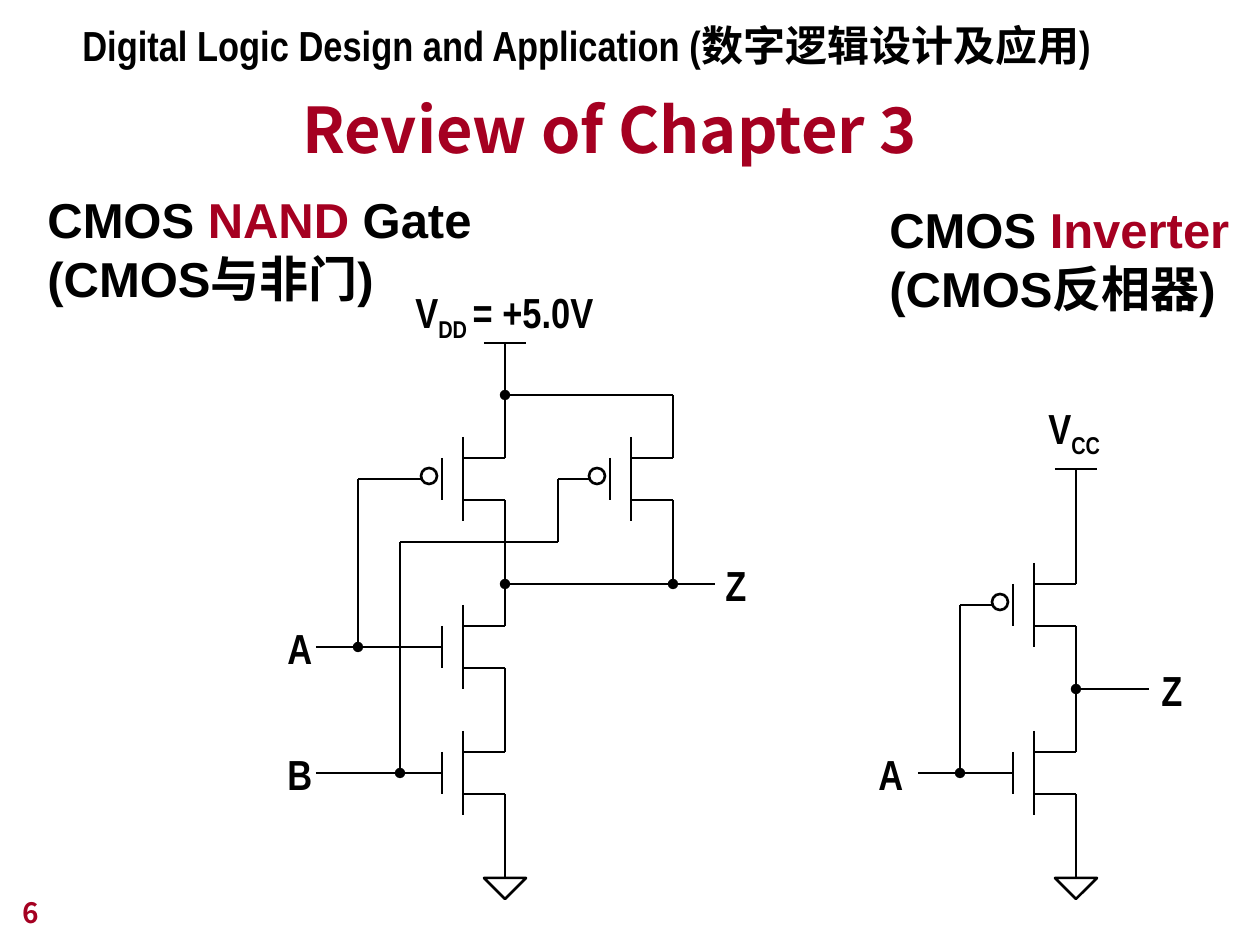
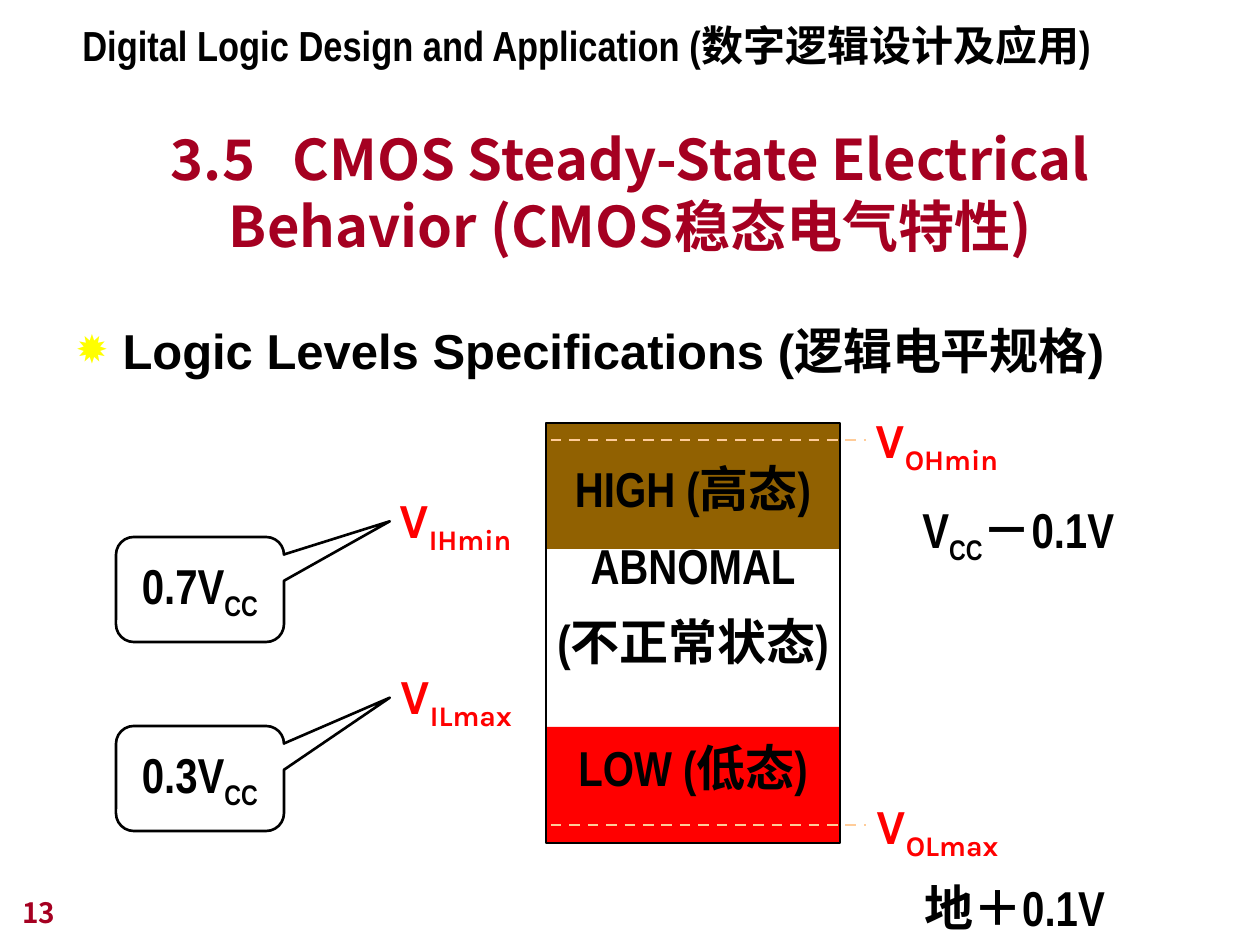
from itertools import pairwise

from lxml.etree import SubElement
from pptx import Presentation
from pptx.dml.color import RGBColor
from pptx.enum.dml import MSO_LINE
from pptx.enum.shapes import MSO_CONNECTOR, MSO_SHAPE
from pptx.enum.text import MSO_ANCHOR as ANCHOR, MSO_AUTO_SIZE as AUTO, PP_ALIGN as ALIGN
from pptx.oxml.ns import qn
from pptx.util import Pt

PX = 914400 / 126
WIDTH, HEIGHT = 1260, 945
BLACK, CRIMSON, RED = "000000", "A50021", "FF0000"
BROWN, PEACH, YELLOW = "916101", "FFCC99", "FFFF00"
NARROW, SANS, LABEL, CJK = "Arial Narrow", "Arial", "Karla", "Noto Sans CJK JP"
HEADER = "Digital Logic Design and Application (数字逻辑设计及应用)"
STEP = 21  # circuit grid


def emu(*lengths):
    return [round(n * PX) for n in lengths]


def rgb(color):
    return RGBColor.from_string(color)


def add_run(p, text, size=24, font=NARROW, color=BLACK, sub=False, spacing=0):
    r = p.add_run()
    r.text = text
    f = r.font
    f.size, f.name, f.bold = Pt(size), font, True
    f.color.rgb = rgb(color)
    rPr = r._r.get_or_add_rPr()
    SubElement(rPr, qn("a:ea")).set("typeface", CJK)
    if sub:
        rPr.set("baseline", "-25000")
    if spacing:
        rPr.set("spc", str(spacing * 100))


def add_runs(p, runs, **style):
    """Takes a string, or a list of strings and (string, format) pairs."""
    for item in [runs] if isinstance(runs, str) else runs:
        text, extra = (item, {}) if isinstance(item, str) else item
        add_run(p, text, **{**style, **extra})


def sub(text):
    return text, {"sub": True}


def colored(text, color):
    return text, {"color": color}


class Deck:
    """Holds the shared style and the slide being drawn."""

    def __init__(self):
        self.prs = Presentation()
        self.prs.slide_width, self.prs.slide_height = emu(WIDTH, HEIGHT)

    def new_slide(self, layout, number, title, box, size):
        self.slide = self.prs.slides.add_slide(self.prs.slide_layouts[layout])
        self.shapes = self.slide.shapes
        self.placeholder(0, box, title, ANCHOR.BOTTOM, size=size, font=CJK, color=CRIMSON)
        self.text(70, 13, 1055, 63, HEADER)
        self.text(10, 872, 262, 63, number, wrap=True, anchor=ANCHOR.BOTTOM,
                  size=16, font=CJK, color=CRIMSON)

    def placeholder(self, idx, box, runs, anchor, **style):
        sp = self.slide.placeholders[idx]
        sp.left, sp.top, sp.width, sp.height = emu(*box)
        tf = sp.text_frame
        tf.auto_size, tf.word_wrap, tf.vertical_anchor = AUTO.NONE, True, anchor
        p = tf.paragraphs[0]
        if idx:
            self.bullet(p)
        add_runs(p, runs, **style)
        return p

    def bullet(self, p):
        pPr = p._p.get_or_add_pPr()
        indent = emu(47)[0]
        pPr.set("marL", str(indent))
        pPr.set("indent", str(-indent))
        SubElement(SubElement(pPr, qn("a:buClr")), qn("a:srgbClr")).set("val", YELLOW)
        SubElement(pPr, qn("a:buSzPct")).set("val", "80000")
        SubElement(pPr, qn("a:buChar")).set("char", "✹")

    def text(self, x, y, w, h, *lines, wrap=False, anchor=ANCHOR.TOP, **style):
        tf = self.shapes.add_textbox(*emu(x, y, w, h)).text_frame
        tf.word_wrap, tf.vertical_anchor = wrap, anchor
        tf.auto_size = AUTO.NONE if wrap else AUTO.SHAPE_TO_FIT_TEXT
        for i, runs in enumerate(lines):
            add_runs(tf.add_paragraph() if i else tf.paragraphs[0], runs, **style)

    def shape(self, kind, x, y, w, h, fill=None, line=BLACK):
        sp = self.shapes.add_shape(kind, *emu(x, y, w, h))
        sp.shadow.inherit = False
        if fill:
            sp.fill.solid()
            sp.fill.fore_color.rgb = rgb(fill)
        else:
            sp.fill.background()
        if line:
            sp.line.color.rgb, sp.line.width = rgb(line), Pt(1.5)
        else:
            sp.line.fill.background()
        return sp

    def fill_text(self, sp, lines, wrap, anchor):
        """Centres lines of (runs, line spacing, space before) in a shape."""
        tf = sp.text_frame
        tf.word_wrap, tf.vertical_anchor = wrap, anchor
        for i, (runs, spacing, before) in enumerate(lines):
            p = tf.add_paragraph() if i else tf.paragraphs[0]
            p.alignment, p.line_spacing, p.space_before = ALIGN.CENTER, spacing, Pt(before)
            add_runs(p, runs, size=28)

    def line(self, start, end, color=BLACK, dash=None, dot=None):
        """Draws a line; dot is headEnd or tailEnd for a junction there."""
        c = self.shapes.add_connector(MSO_CONNECTOR.STRAIGHT, *emu(*start, *end))
        c.line.color.rgb, c.line.width = rgb(color), Pt(1.5)
        if dash:
            c.line.dash_style = dash
        if dot:
            SubElement(c.line._get_or_add_ln(), qn(f"a:{dot}")).set("type", "oval")
        SubElement(c._element.spPr, qn("a:effectLst"))

    def wire(self, *points, start_dot=False, end_dot=False):
        segments = list(pairwise(points))
        for i, (a, b) in enumerate(segments):
            head = start_dot and i == 0
            tail = end_dot and i == len(segments) - 1
            self.line(a, b, dot="headEnd" if head else "tailEnd" if tail else None)

    def transistor(self, x, y, pmos=False):
        """Draws a MOS transistor whose upper terminal ends at (x, y)."""
        channel, gate = x - 2 * STEP, x - 3 * STEP
        self.wire((gate, y), (gate, y + 2 * STEP))
        self.wire((channel, y - STEP), (channel, y + 3 * STEP))
        for terminal in (y, y + 2 * STEP):
            self.wire((channel, terminal), (x, terminal))
        if pmos:
            self.shape(MSO_SHAPE.OVAL, x - 4 * STEP, y + 10, 16, 16)

    def supply(self, x, y, bottom):
        self.wire((x - STEP, y), (x + STEP, y))
        self.wire((x, y), (x, bottom))

    def ground(self, x, top, y):
        self.wire((x, top), (x, y))
        sp = self.shape(MSO_SHAPE.ISOSCELES_TRIANGLE, x - STEP, y, 2 * STEP, STEP)
        sp._element.spPr.get_or_add_xfrm().set("flipV", "1")


def draw_nand(d):
    x, x2 = 505, 673
    p_top, n1_top, n2_top = 458, 626, 752
    a, b, z = n1_top + STEP, n2_top + STEP, 584
    p_gate, p_drain, crossing = p_top + STEP, p_top + 2 * STEP, 542
    for col in (x, x2):
        d.transistor(col, p_top, pmos=True)
    for top in (n1_top, n2_top):
        d.transistor(x, top)
    d.supply(x, 343, p_top)
    d.ground(x, n2_top + 2 * STEP, 878)
    d.wire((x, 395), (x2, 395), (x2, p_top), start_dot=True)
    d.wire((x, p_drain), (x, n1_top))
    d.wire((x, n1_top + 2 * STEP), (x, n2_top))
    d.wire((x2, p_drain), (x2, z), end_dot=True)
    d.wire((x, z), (715, z), start_dot=True)
    for y in (a, b):
        d.wire((316, y), (x - 3 * STEP, y))
    d.wire((x - 4 * STEP, p_gate), (358, p_gate), (358, a), end_dot=True)
    d.wire((x2 - 4 * STEP, p_gate), (558, p_gate), (558, crossing),
           (400, crossing), (400, b), end_dot=True)
    d.text(403, 280, 203, 71, ["V", sub("DD "), "= +5.0V"])
    d.text(713, 553, 45, 63, "Z")
    d.text(275, 616, 49, 63, "A")
    d.text(275, 742, 49, 63, "B")
    d.text(35, 183, 449, 131, ["CMOS", colored(" NAND ", CRIMSON), "Gate"],
           ["(CMOS", "与非门)"], size=28, font=SANS)


def draw_inverter(d):
    x, p_top, n_top = 1076, 584, 752
    a, z, p_gate = n_top + STEP, 689, p_top + STEP
    d.transistor(x, p_top, pmos=True)
    d.transistor(x, n_top)
    d.supply(x, 469, p_top)
    d.ground(x, n_top + 2 * STEP, 878)
    d.wire((x, p_top + 2 * STEP), (x, n_top))
    d.wire((x, z), (1149, z), start_dot=True)
    d.wire((x - 4 * STEP, p_gate), (960, p_gate), (960, a), end_dot=True)
    d.wire((918, a), (x - 3 * STEP, a))
    d.text(1036, 396, 77, 71, ["V", sub("CC")])
    d.text(866, 742, 49, 63, "A")
    d.text(1149, 658, 45, 63, "Z")
    d.text(877, 193, 372, 131, ["CMOS", colored(" Inverter", CRIMSON)],
           ["(CMOS", "反相器)"], size=28, font=SANS)


def draw_levels(d):
    left, top, width, height = 546, 423, 294, 420
    d.shape(MSO_SHAPE.RECTANGLE, left, 727, width, 116, RED, None)
    d.shape(MSO_SHAPE.RECTANGLE, left, top, width, 126, BROWN, None)
    frame = d.shape(MSO_SHAPE.RECTANGLE, left, top, width, height)
    d.fill_text(frame, [("HIGH (高态)", 1.5, 0), ("ABNOMAL", 1.3, 0),
                        ("(不正常状态)", 1.3, 0), ("LOW (低态)", 1.1, 35)],
                False, ANCHOR.TOP)
    for y in (440, 825):
        d.line((551, y), (866, y), PEACH, MSO_LINE.DASH)
    for x, y, w, name in ((863, 403, 156, "OHmin"), (864, 789, 156, "OLmax"),
                          (387, 483, 145, "IHmin"), (388, 659, 145, "ILmax")):
        d.text(x, y, w, 79, ["V", sub(name)], size=28, font=LABEL, color=RED)
    d.text(910, 493, 241, 79, ["V", sub("CC"), "－0.1V"], size=28)
    d.text(912, 871, 217, 72, "地＋0.1V", size=28)
    for y, ratio, tip in ((537, "0.7V", -0.65), (726, "0.3V", -0.77)):
        sp = d.shape(MSO_SHAPE.ROUNDED_RECTANGULAR_CALLOUT, 116, y, 168, 105)
        for i, value in enumerate((1.13, tip, 0.17)):
            sp.adjustments[i] = value
        d.fill_text(sp, [([ratio, sub("CC")], 1.1, 0)], True, ANCHOR.TOP)


def main():
    d = Deck()
    d.new_slide(5, "6", "Review of Chapter 3", (74, 76, 1071, 96), 36)
    draw_inverter(d)
    draw_nand(d)

    title = ["3.5", (" ", {"spacing": 14}),
             "CMOS Steady-State Electrical Behavior (CMOS稳态电气特性)"]
    d.new_slide(1, "13", title, (95, 115, 1071, 150), 32)
    p = d.placeholder(1, (63, 302, 1134, 110), "Logic Levels Specifications (逻辑电平规格)",
                      ANCHOR.TOP, size=28, font=SANS)
    p.line_spacing, p.space_before = 1.2, Pt(0)
    draw_levels(d)
    d.prs.save("out.pptx")


if __name__ == "__main__":
    main()
